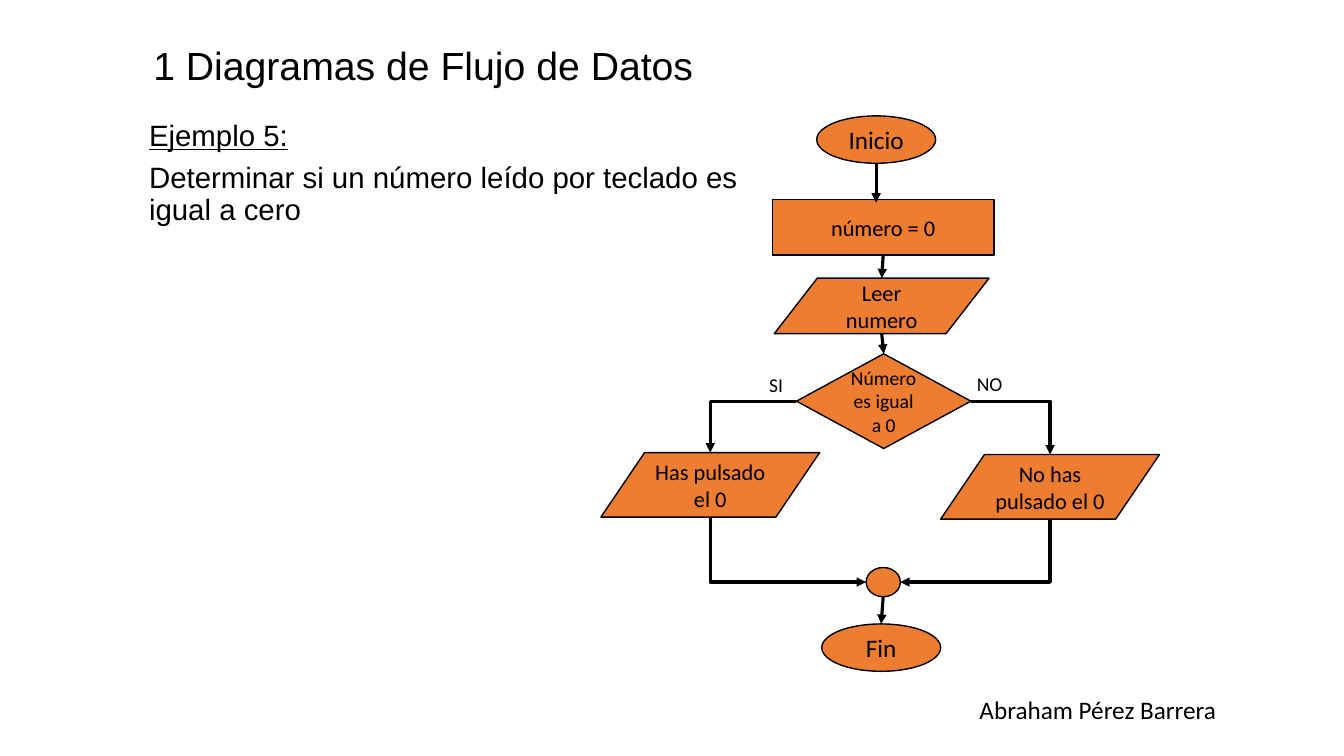
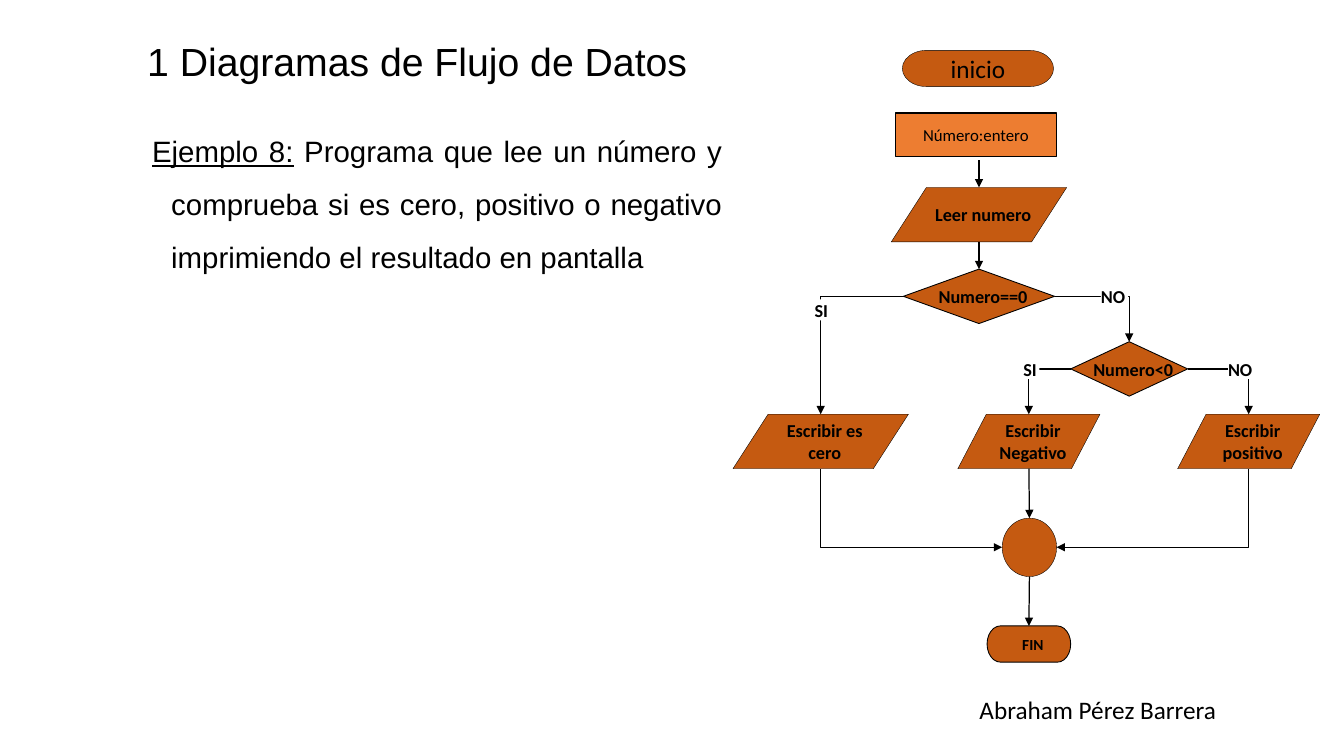
import pptx
import pptx.util
import pptx.dml.color
import pptx.enum.shapes
import pptx.enum.text
import pptx.oxml.ns
import pptx.shapes.base
import lxml.etree

Pt = pptx.util.Pt
RGBColor = pptx.dml.color.RGBColor
Shape = pptx.enum.shapes.MSO_SHAPE
Connector = pptx.enum.shapes.MSO_CONNECTOR
Align = pptx.enum.text.PP_ALIGN
Anchor = pptx.enum.text.MSO_ANCHOR
AutoSize = pptx.enum.text.MSO_AUTO_SIZE
qn = pptx.oxml.ns.qn

PX = 9144
BLACK = RGBColor(0, 0, 0)
WHITE = RGBColor(255, 255, 255)
ORANGE = RGBColor(0xED, 0x7D, 0x31)
RUST = RGBColor(0xC5, 0x5A, 0x11)
HEADING_FONT = "Arial"
DIAGRAM_FONT = "Calibri"

TOP, LEFT, BOTTOM, RIGHT = range(4)
# Connection site numbers of the four sides, where they differ from 0 to 3
SITES = {Shape.OVAL: (0, 2, 4, 6), Shape.FLOWCHART_DATA: (1, 2, 4, 5)}


def px(*lengths):
    return [round(length * PX) for length in lengths]


def add_run(paragraph, text, size, font, bold=False, underline=False):
    run = paragraph.add_run()
    run.text = text
    run.font.size = Pt(size)
    run.font.name = font
    run.font.bold = bold
    run.font.underline = underline
    run.font.color.rgb = BLACK


def add_text_box(slide, box):
    text_box = slide.shapes.add_textbox(*px(*box))
    text_box.text_frame.word_wrap = True
    return text_box


def set_insets(frame, left=0):
    frame.margin_left = left * PX
    frame.margin_right = frame.margin_top = frame.margin_bottom = 0


def add_framed_slide(deck, title_box):
    """Add a slide with the shared title and the author's name."""
    slide = deck.slides.add_slide(deck.slide_layouts[5])
    title = slide.shapes.title
    title.left, title.top, title.width, title.height = px(*title_box)
    frame = title.text_frame
    frame.auto_size = AutoSize.NONE
    frame.vertical_anchor = Anchor.MIDDLE
    heading = frame.paragraphs[0]
    heading.alignment = Align.LEFT
    heading.line_spacing = 0.9
    add_run(heading, "1 Diagramas de Flujo de Datos", 28, HEADING_FONT)

    author = add_text_box(slide, (737, 684, 479, 40)).text_frame.paragraphs[0]
    author.alignment = Align.RIGHT
    add_run(author, "Abraham Pérez Barrera", 18, DIAGRAM_FONT)
    return slide


def add_statement(slide, box, paragraphs, line_spacing, hanging=0):
    """Add the exercise text; paragraphs hold (text, underline) pairs."""
    frame = add_text_box(slide, box).text_frame
    for number, runs in enumerate(paragraphs):
        paragraph = frame.add_paragraph() if number else frame.paragraphs[0]
        paragraph.line_spacing = line_spacing
        paragraph.space_before = Pt(7.5)
        if hanging:
            paragraph.alignment = Align.JUSTIFY
            properties = paragraph._p.get_or_add_pPr()
            properties.set("marL", str(hanging * PX))
            properties.set("indent", str(-hanging * PX))
        for text, underline in runs:
            add_run(paragraph, text, 21, HEADING_FONT, underline=underline)


class Flowchart:
    """Draws steps and links relative to a top left corner."""

    def __init__(self, slide, left, top, fill, link_width):
        self.slide = slide
        self.left, self.top = left, top
        self.fill = fill
        self.link_width = link_width

    def place(self, left, top, *size):
        return (self.left + left, self.top + top, *size)

    def step(self, kind, box, text="", size=16, border=1, bold=False,
             wrap=True, indent=None, fill=None):
        step = self.slide.shapes.add_shape(kind, *px(*self.place(*box)))
        step.shadow.inherit = False
        step.fill.solid()
        step.fill.fore_color.rgb = fill or self.fill
        step.line.color.rgb = BLACK
        step.line.width = Pt(border)
        frame = step.text_frame
        frame.word_wrap = wrap
        frame.vertical_anchor = Anchor.MIDDLE
        if indent is not None:
            set_insets(frame, indent)
        paragraph = frame.paragraphs[0]
        paragraph.alignment = Align.CENTER
        for number, line in enumerate(text.split("\n") if text else []):
            if number:
                paragraph.add_line_break()
            add_run(paragraph, line, size, DIAGRAM_FONT, bold)
        return step

    def bold_step(self, kind, box, text="", size=13, border=0.25):
        return self.step(kind, box, text, size, border, bold=True,
                         wrap=False, indent=8)

    def link(self, begin, end, elbow=False, arrow="tailEnd"):
        """Join two ends, each a (step, side) pair or a loose (x, y) point.

        An elbow leaves its begin horizontally and meets its end vertically.
        """
        kind = Connector.ELBOW if elbow else Connector.STRAIGHT
        points = [(0, 0) if isinstance(place[0], pptx.shapes.base.BaseShape)
                  else px(*self.place(*place)) for place in (begin, end)]
        link = self.slide.shapes.add_connector(kind, *points[0], *points[1])
        anchors = link._element.nvCxnSpPr.cNvCxnSpPr
        joins = ((begin, link.begin_connect, "a:stCxn"),
                 (end, link.end_connect, "a:endCxn"))
        for (target, side), connect, tag in joins:
            if isinstance(target, pptx.shapes.base.BaseShape):
                connect(target, side)
                site = SITES.get(target.auto_shape_type, range(4))[side]
                anchors.find(qn(tag)).set("idx", str(site))
        link.line.color.rgb = BLACK
        link.line.width = Pt(self.link_width)
        properties = link._element.spPr
        if elbow:
            properties.find(qn("a:prstGeom")).set("prst", "bentConnector2")
        head = lxml.etree.SubElement(properties.find(qn("a:ln")),
                                     qn("a:" + arrow))
        head.set("type", "triangle")
        lxml.etree.SubElement(properties, qn("a:effectLst"))

    def branch_label(self, box, text):
        label = add_text_box(self.slide, self.place(*box))
        add_run(label.text_frame.paragraphs[0], text, 14, DIAGRAM_FONT)

    def line_label(self, box, text):
        """Add a bold label that covers the line behind it."""
        label = add_text_box(self.slide, self.place(*box))
        label.fill.solid()
        label.fill.fore_color.rgb = WHITE
        frame = label.text_frame
        frame.word_wrap = False
        frame.auto_size = AutoSize.SHAPE_TO_FIT_TEXT
        set_insets(frame)
        add_run(frame.paragraphs[0], text, 13, DIAGRAM_FONT, bold=True)


def draw_zero_test(slide, left, top):
    chart = Flowchart(slide, left, top, ORANGE, 2.25)
    start = chart.step(Shape.OVAL, (214, 0, 118, 47), "Inicio", 18)
    initial = chart.step(Shape.FLOWCHART_PROCESS, (170, 83, 220, 55),
                         "número = 0")
    read = chart.step(Shape.FLOWCHART_DATA, (172, 161, 213, 55),
                      "Leer numero")
    is_zero = chart.step(Shape.FLOWCHART_DECISION, (194, 236, 173, 94),
                         "Número es igual a 0", 14)
    zero = chart.step(Shape.FLOWCHART_DATA, (0, 334, 217, 64),
                      "Has pulsado el 0")
    not_zero = chart.step(Shape.FLOWCHART_DATA, (337, 336, 217, 64),
                          "No has pulsado el 0")
    merge = chart.step(Shape.OVAL, (263, 448, 34, 29))
    finish = chart.step(Shape.OVAL, (219, 504, 118, 47), "Fin", 18)

    chart.link((start, BOTTOM), (273, 86))
    for above, below in ((initial, read), (read, is_zero), (merge, finish)):
        chart.link((above, BOTTOM), (below, TOP))
    for side, answer in ((LEFT, zero), (RIGHT, not_zero)):
        chart.link((is_zero, side), (answer, TOP), elbow=True)
        chart.link((merge, side), (answer, BOTTOM), elbow=True,
                   arrow="headEnd")
    chart.branch_label((157, 250, 46, 34), "SI")
    chart.branch_label((363, 249, 54, 34), "NO")


def draw_sign_test(slide, left, top):
    chart = Flowchart(slide, left, top, RUST, 0.88)
    chart.step(Shape.FLOWCHART_TERMINATOR, (168, 0, 150, 36), "inicio", 18,
               border=0.25, wrap=False, indent=0)
    chart.step(Shape.FLOWCHART_PROCESS, (161, 62, 160, 43), "Número:entero",
               12, fill=ORANGE)
    read = chart.bold_step(Shape.FLOWCHART_DATA, (157, 136, 174, 54),
                           "Leer numero")
    is_zero = chart.bold_step(Shape.FLOWCHART_DECISION, (169, 217, 150, 54),
                              "Numero==0", border=0.63)
    is_negative = chart.bold_step(Shape.FLOWCHART_DECISION,
                                  (335, 289, 116, 54), "Numero<0",
                                  border=0.63)
    zero, negative, positive = [
        chart.bold_step(Shape.FLOWCHART_DATA, (x, 361, width, 54), text)
        for x, width, text in ((0, 174, "Escribir es\ncero"),
                               (223, 141, "Escribir\nNegativo"),
                               (441, 141, "Escribir\npositivo"))]
    merge = chart.bold_step(Shape.OVAL, (267, 464, 54, 58))
    finish = chart.bold_step(Shape.FLOWCHART_TERMINATOR, (252, 571, 83, 36),
                             "FIN", 11, 0.63)

    chart.link((244, 109), (read, TOP))
    for above, below in ((read, is_zero), (negative, merge), (merge, finish)):
        chart.link((above, BOTTOM), (below, TOP))
    for test, side, answer in ((is_zero, LEFT, zero),
                               (is_zero, RIGHT, is_negative),
                               (is_negative, LEFT, negative),
                               (is_negative, RIGHT, positive)):
        chart.link((test, side), (answer, TOP), elbow=True)
    for side, answer in ((LEFT, zero), (RIGHT, positive)):
        chart.link((merge, side), (answer, BOTTOM), elbow=True,
                   arrow="headEnd")
    for x, y, width, text in ((81, 247, 16, "SI"), (365, 233, 27, "NO"),
                              (288, 305, 16, "SI"), (491, 305, 27, "NO")):
        chart.line_label((x, y, width, 21), text)


def main():
    deck = pptx.Presentation()
    deck.slide_width, deck.slide_height = px(1333, 750)

    zero_slide = add_framed_slide(deck, (142, 40, 907, 55))
    add_statement(zero_slide, (138, 115, 606, 488), [
        [("Ejemplo 5:", True)],
        [("Determinar si un número leído por teclado es igual a cero",
          False)],
    ], 0.9)
    draw_zero_test(zero_slide, 596, 115)

    sign_slide = add_framed_slide(deck, (136, 36, 1142, 55))
    add_statement(sign_slide, (141, 110, 585, 529), [
        [("Ejemplo 8:", True),
         (" Programa que lee un número y comprueba si es cero, positivo o "
          "negativo imprimiendo el resultado en pantalla", False)],
    ], 1.5, hanging=19)
    draw_sign_test(sign_slide, 727, 50)

    deck.save("out.pptx")


if __name__ == "__main__":
    main()
